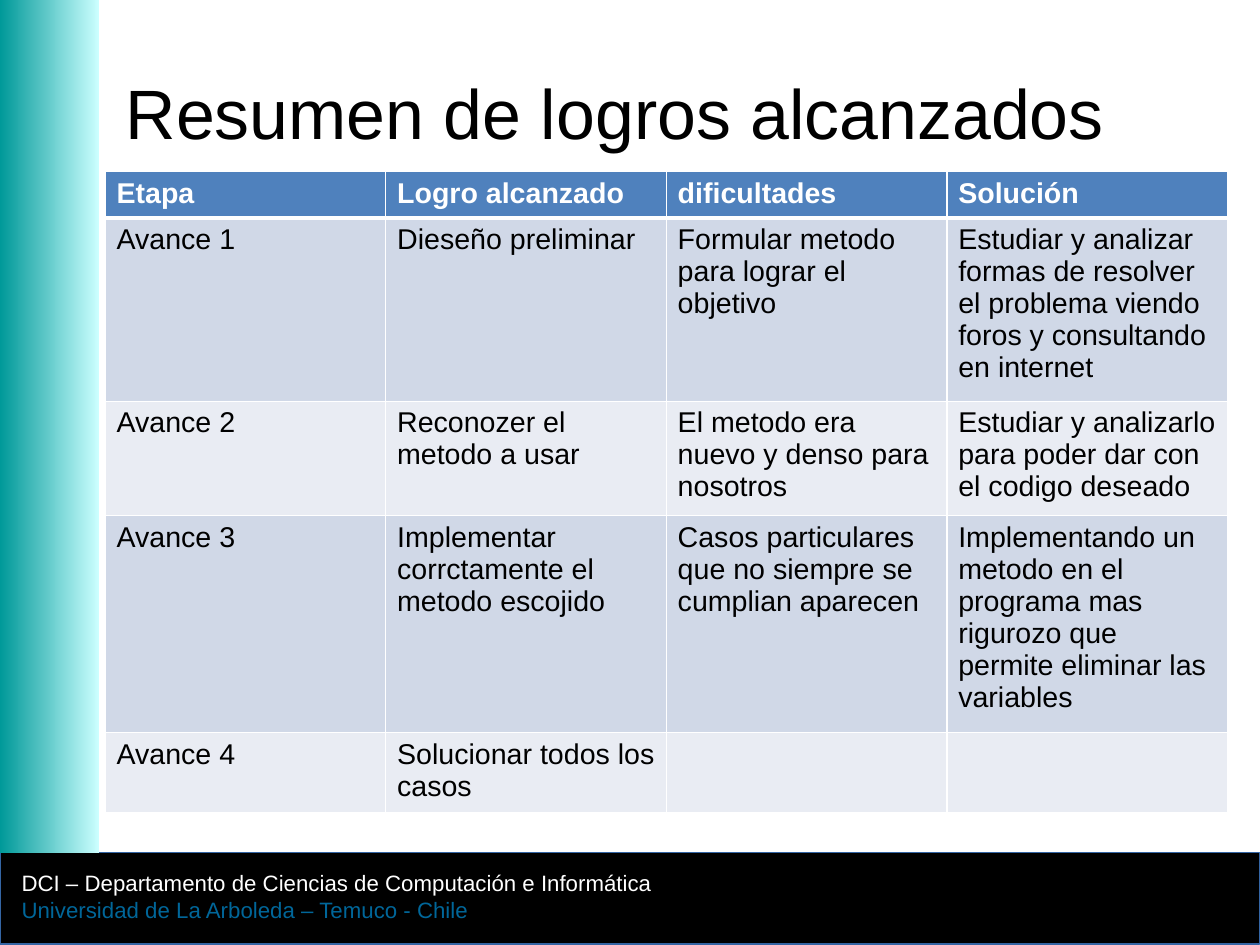
from lxml import etree
from pptx import Presentation
from pptx import util as u
from pptx.dml.color import RGBColor
from pptx.enum import shapes, text
from pptx.oxml.ns import qn

COLORS = {
    "white": "FFFFFF", "black": "000000", "frame": "3465A4",
    "teal": "009999", "mint": "CCFFFF", "caption": "006699",
    "header": "4F81BD", "odd": "D0D8E7", "even": "E9ECF3",
}
FONT = "Arial"
ROW_HEIGHT = 0.41
ROWS = [
    ["Etapa", "Logro alcanzado", "dificultades", "Solución"],
    ["Avance 1", "Dieseño preliminar", "Formular metodo para lograr el objetivo",
     "Estudiar y analizar formas de resolver el problema viendo foros y consultando en internet"],
    ["Avance 2", "Reconozer el metodo a usar", "El metodo era nuevo y denso para nosotros",
     "Estudiar y analizarlo para poder dar con el codigo deseado"],
    ["Avance 3", "Implementar corrctamente el metodo escojido\u00a0",
     "Casos particulares que no siempre se cumplian aparecen",
     "Implementando un metodo en el programa mas rigurozo que permite eliminar las variables"],
    ["Avance 4", "Solucionar todos los casos", "", ""],
]


def color(name):
    return RGBColor.from_string(COLORS[name])


def inches(box):
    return [u.Inches(value) for value in box]


def set_font(para, size, name, bold=False):
    font = para.font
    font.name, font.size, font.bold = FONT, u.Pt(size), bold
    font.color.rgb = color(name)


def add_panel(page, box):
    panel = page.shapes.add_shape(shapes.MSO_SHAPE.RECTANGLE, *inches(box))
    panel.shadow.inherit = False
    return panel


def add_text(page, box, lines, size, margins=(0.1, 0.05)):
    frame = page.shapes.add_textbox(*inches(box)).text_frame
    frame.word_wrap = True
    frame.margin_left = frame.margin_right = u.Inches(margins[0])
    frame.margin_top = frame.margin_bottom = u.Inches(margins[1])
    frame.text = "\n".join(line for line, _ in lines)
    for para, (_, name) in zip(frame.paragraphs, lines):
        set_font(para, size, name)
    return frame


def add_side_band(page, box):
    band = add_panel(page, box)
    band.line.fill.background()
    band.fill.gradient()
    band.fill.gradient_angle = 0
    for stop, name in zip(band.fill.gradient_stops, ("teal", "mint")):
        stop.color.rgb = color(name)


def add_footer(page, box):
    left, top, width, height = box
    footer = add_panel(page, box)
    footer.fill.solid()
    footer.fill.fore_color.rgb = color("black")
    footer.line.color.rgb = color("frame")
    footer.line.width = u.Pt(0.75)
    add_text(page, (left + 0.09, top + 0.1, 8.07, 0.59), [
        ("DCI – Departamento de Ciencias de Computación e Informática", "white"),
        ("Universidad de La Arboleda – Temuco - Chile", "caption"),
    ], 14)


def add_title(page, box):
    frame = add_text(page, box, [("Resumen de logros alcanzados", "black")], 44, (0, 0))
    frame.vertical_anchor = text.MSO_ANCHOR.MIDDLE
    frame.paragraphs[0].line_spacing = 0.9


def set_borders(cell, widths):
    properties = cell._tc.get_or_add_tcPr()
    for index, (side, width) in enumerate(widths.items()):
        border = etree.Element(qn(f"a:ln{side}"), w=str(u.Pt(width)))
        fill = etree.SubElement(border, qn("a:solidFill"))
        etree.SubElement(fill, qn("a:srgbClr"), val=COLORS["white"])
        properties.insert(index, border)


def add_progress_table(page, box):
    holder = page.shapes.add_table(len(ROWS), len(ROWS[0]), *inches(box))
    table = holder.table
    for r, values in enumerate(ROWS):
        table.rows[r].height = u.Inches(ROW_HEIGHT)
        is_header = r == 0
        fill = "header" if is_header else ("even", "odd")[r % 2]
        widths = {"L": 0.96, "R": 0.96, "T": 3 if r == 1 else 0.96, "B": 3 if is_header else 0.96}
        for c, value in enumerate(values):
            cell = table.cell(r, c)
            cell.text = value
            cell.fill.solid()
            cell.fill.fore_color.rgb = color(fill)
            set_font(cell.text_frame.paragraphs[0], 18, "white" if is_header else "black", is_header)
            set_borders(cell, widths)
    holder.height = u.Inches(box[3])


deck = Presentation()
deck.slide_width, deck.slide_height = u.Cm(28), u.Cm(21)
page = deck.slides.add_slide(deck.slide_layouts[6])
add_footer(page, (0, 7.46, 11.02, 0.8))
add_side_band(page, (0, 0, 0.87, 7.46))
add_title(page, (1.1, 0.33, 9.92, 1.38))
add_progress_table(page, (0.92, 1.5, 9.82, 5.61))
deck.save("out.pptx")
